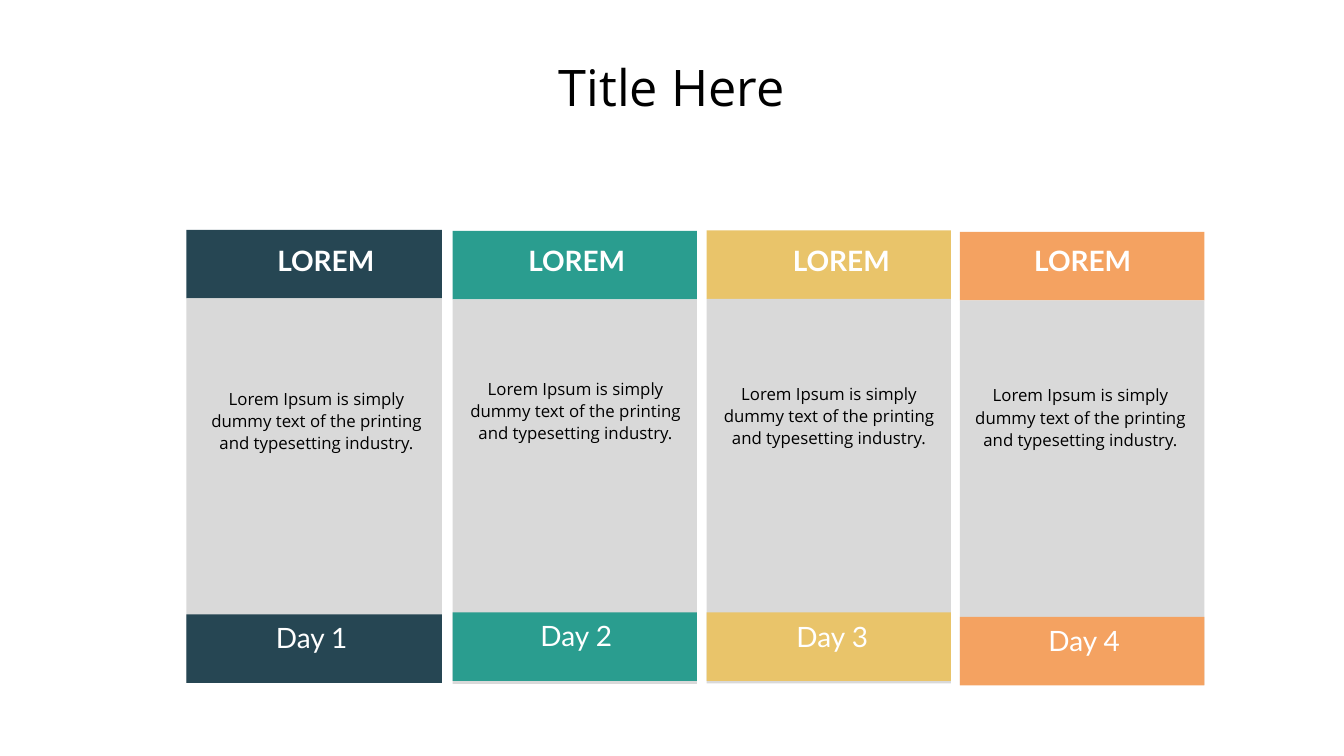
from dataclasses import dataclass

from pptx import Presentation
from pptx.dml.color import RGBColor
from pptx.enum.shapes import MSO_SHAPE as Shape
from pptx.enum.text import MSO_ANCHOR as Anchor, PP_ALIGN as Align
from pptx.util import Inches, Pt

NAVY = RGBColor(0x26, 0x46, 0x53)
TEAL = RGBColor(0x2A, 0x9D, 0x8F)
GOLD = RGBColor(0xE9, 0xC4, 0x6A)
ORANGE = RGBColor(0xF4, 0xA2, 0x61)
GREY = RGBColor(0xD9, 0xD9, 0xD9)
BLACK = RGBColor(0, 0, 0)
WHITE = RGBColor(0xFF, 0xFF, 0xFF)

BAND_HEIGHT = 1.36
PANEL_HEIGHT = 7.63
SUMMARY = "Lorem Ipsum is simply dummy text of the printing and typesetting industry."


@dataclass
class Day:
    color: RGBColor
    left: float
    width: float
    top: float
    footer_top: float
    heading_left: float
    summary_at: tuple
    label_at: tuple


DAYS = [
    Day(NAVY, 3.7, 5.07, 4.56, 12.19, 5.3, (3.89, 7.55), (5.05, 12.26)),
    Day(TEAL, 8.98, 4.85, 4.58, 12.15, 10.28, (9.03, 7.35), (10.3, 12.22)),
    Day(GOLD, 14.02, 4.85, 4.57, 12.15, 15.53, (14.06, 7.45), (15.38, 12.24)),
    Day(ORANGE, 19.05, 4.85, 4.6, 12.24, 20.32, (19.05, 7.48), (20.38, 12.33)),
]


class Board:
    body_font = "Open Sans"
    label_font = "Lato"

    def __init__(self, slide):
        self.slide = slide

    def block(self, left, top, width, height, color):
        block = self.slide.shapes.add_shape(
            Shape.RECTANGLE, Inches(left), Inches(top), Inches(width), Inches(height))
        block.shadow.inherit = False
        block.fill.solid()
        block.fill.fore_color.rgb = color
        block.line.fill.background()

    def text(self, content, at, extent, size, font, color, bold=False, wrap=True,
             inset=(0.1, 0.05), spacing=None, anchor=Anchor.TOP):
        box = self.slide.shapes.add_textbox(*map(Inches, at + extent))
        frame = box.text_frame
        frame.word_wrap = wrap
        frame.vertical_anchor = anchor
        frame.margin_left = frame.margin_right = Inches(inset[0])
        frame.margin_top = frame.margin_bottom = Inches(inset[1])
        paragraph = frame.paragraphs[0]
        paragraph.alignment = Align.CENTER
        paragraph.line_spacing = spacing
        run = paragraph.add_run()
        run.text = content
        run.font.size = Pt(size)
        run.font.name = font
        run.font.bold = bold
        run.font.color.rgb = color

    def title(self, content):
        self.text(content, (1.83, 0.8), (23, 1.82), 72, self.body_font, BLACK,
                  anchor=Anchor.MIDDLE)

    def column(self, day):
        self.block(day.left, day.top, day.width, BAND_HEIGHT, day.color)
        self.block(day.left, day.top + BAND_HEIGHT, day.width, PANEL_HEIGHT, GREY)
        self.block(day.left, day.footer_top, day.width, BAND_HEIGHT, day.color)

    def captions(self, day, number):
        self.text("LOREM", (day.heading_left, 4.73), (2.33, 0.88), 40, self.label_font,
                  WHITE, bold=True, wrap=False, inset=(0.2, 0.1))
        self.text(SUMMARY, day.summary_at, (4.78, 1.99), 24, self.body_font, BLACK,
                  inset=(0.24, 0.12), spacing=1.1)
        self.text(f"Day {number}", day.label_at, (2.27, 1.09), 40, self.label_font,
                  WHITE, wrap=False)


def main():
    deck = Presentation()
    deck.slide_width = Inches(26.67)
    deck.slide_height = Inches(15)
    board = Board(deck.slides.add_slide(deck.slide_layouts[6]))
    for number, day in enumerate(DAYS, start=1):
        board.column(day)
        board.captions(day, number)
    board.title("Title Here")
    deck.save("out.pptx")


if __name__ == "__main__":
    main()
